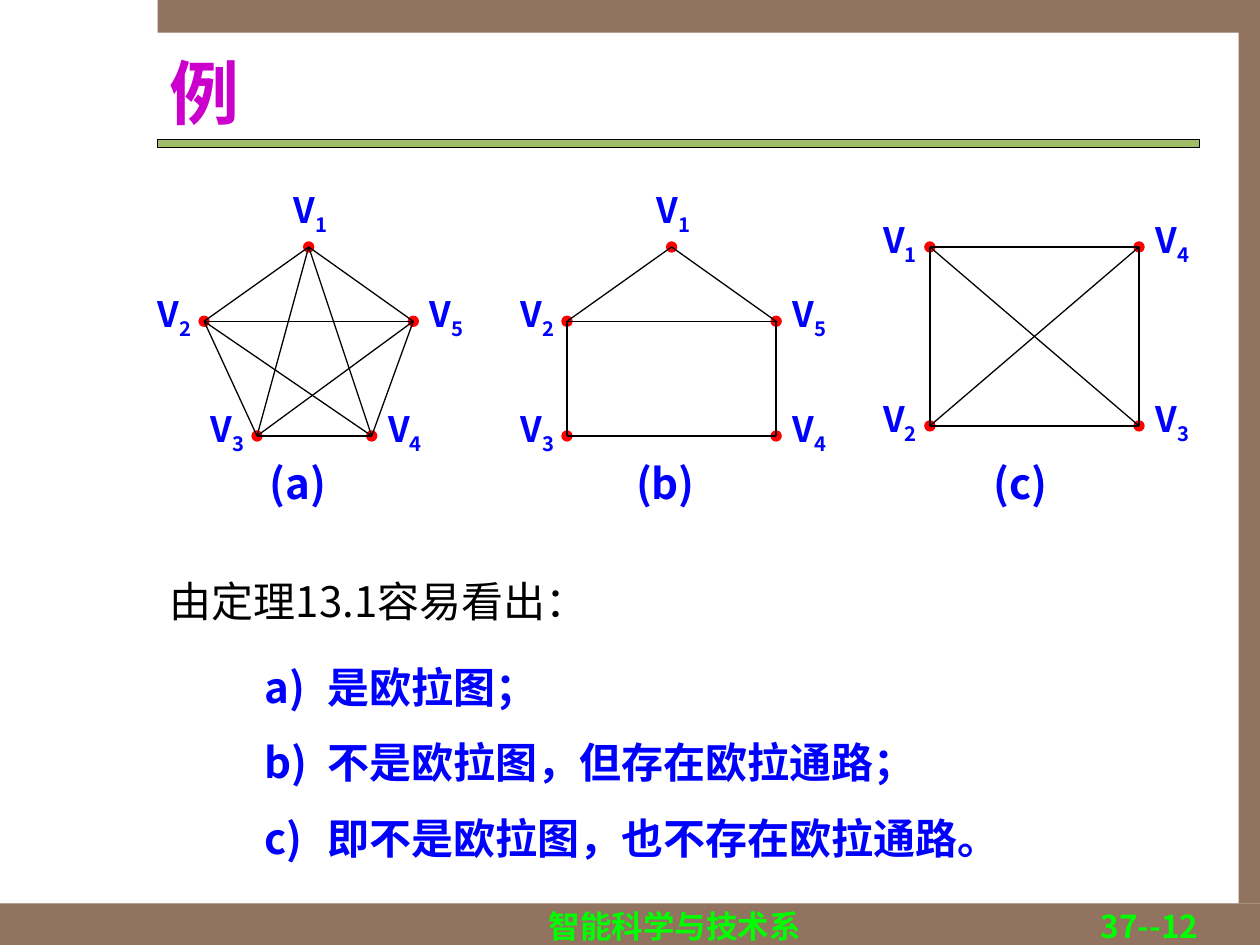
from dataclasses import dataclass
from itertools import combinations

from lxml.etree import SubElement
from pptx import Presentation
from pptx.dml.color import RGBColor
from pptx.enum.shapes import MSO_CONNECTOR, MSO_SHAPE
from pptx.enum.text import MSO_ANCHOR, PP_ALIGN
from pptx.oxml.ns import qn
from pptx.util import Inches, Pt


@dataclass(frozen=True)
class Theme:
    font: str = "Noto Sans CJK SC"
    frame: str = "91735F"
    rule: str = "A1BD69"
    title: str = "CC00CC"
    accent: str = "0000FF"
    footer: str = "00FF00"
    dot: str = "FF0000"
    ink: str = "000000"
    title_size: int = 40
    body_size: int = 24
    label_size: int = 20
    footer_size: int = 18
    line_width: float = 0.75


THEME = Theme()

TITLE = "例"
INTRO = "由定理13.1容易看出："
FINDINGS = ["是欧拉图；", "不是欧拉图，但存在欧拉通路；", "即不是欧拉图，也不存在欧拉通路。"]
DEPARTMENT = "智能科学与技术系"
PAGE = "37--12"

FRAME_BARS = [(0, 7.17, 10, 0.33), (1.25, 0, 8.75, 0.26), (9.83, 0.25, 0.17, 6.92)]
TITLE_RULE = (1.25, 1.11, 8.27, 0.06)

# Vertex number: (x from the graph's left edge, y on the slide, side of the label)
GRAPHS = [
    {
        "caption": "(a)", "caption_x": 0.42,
        "vertices": {1: (0.83, 1.96, "top"), 2: (0, 2.55, "left"), 3: (0.42, 3.46, "left"),
                     4: (1.33, 3.46, "right"), 5: (1.66, 2.55, "right")},
        "edges": list(combinations(range(1, 6), 2)),
    },
    {
        "caption": "(b)", "caption_x": 0.45,
        "vertices": {1: (0.83, 1.96, "top"), 2: (0, 2.55, "left"), 3: (0, 3.46, "left"),
                     4: (1.66, 3.46, "right"), 5: (1.66, 2.55, "right")},
        "edges": [(1, 2), (1, 5), (2, 3), (2, 5), (3, 4), (4, 5)],
    },
    {
        "caption": "(c)", "caption_x": 0.41,
        "vertices": {1: (0, 1.96, "left"), 2: (0, 3.38, "left"),
                     3: (1.66, 3.38, "right"), 4: (1.66, 1.96, "right")},
        "edges": list(combinations(range(1, 5), 2)),
    },
]
GRAPH_LEFT, GRAPH_STEP = 1.62, 2.88
CAPTION_TOP = 3.5
DOT = 0.08
LABEL_SHIFT = {"top": (-0.12, -0.54), "left": (-0.37, -0.3), "right": (0.13, -0.3)}


def rgb(color):
    return RGBColor.from_string(color)


def inches(*lengths):
    return [Inches(length) for length in lengths]


def add_filled(shapes, preset, box, fill, line=None):
    shape = shapes.add_shape(preset, *inches(*box))
    shape.shadow.inherit = False
    shape.fill.solid()
    shape.fill.fore_color.rgb = rgb(fill)
    if line:
        shape.line.color.rgb = rgb(line)
        shape.line.width = Pt(THEME.line_width)
    else:
        shape.line.fill.background()


def add_text(shapes, box, paragraphs, size, color, bold=True, spacing=1.0,
             align=PP_ALIGN.LEFT, margins=(0.1, 0.05)):
    """Add a text box; each paragraph is a list of run texts."""
    frame = shapes.add_textbox(*inches(*box)).text_frame
    frame.word_wrap = True
    frame.margin_left = frame.margin_right = Inches(margins[0])
    frame.margin_top = frame.margin_bottom = Inches(margins[1])
    for index, runs in enumerate(paragraphs):
        paragraph = frame.add_paragraph() if index else frame.paragraphs[0]
        paragraph.alignment = align
        paragraph.line_spacing = spacing
        for text in runs:
            run = paragraph.add_run()
            run.text = text
            run.font.size = Pt(size)
            run.font.bold = bold
            run.font.color.rgb = rgb(color)
            run.font.name = THEME.font
            SubElement(run.font._element, qn("a:ea"), typeface=THEME.font)
    return frame


def number_with_letters(paragraph, color):
    """Give the paragraph a hanging a), b), c) number."""
    properties = paragraph._p.get_or_add_pPr()
    properties.set("marL", str(Inches(0.5)))
    properties.set("indent", str(-Inches(0.5)))
    bullet_color = SubElement(properties, qn("a:buClr"))
    SubElement(bullet_color, qn("a:srgbClr"), val=color)
    SubElement(properties, qn("a:buFont"), typeface=THEME.font)
    SubElement(properties, qn("a:buAutoNum"), type="alphaLcParenR")


def add_edge(shapes, start, end):
    edge = shapes.add_connector(MSO_CONNECTOR.STRAIGHT, *inches(*start, *end))
    edge.line.color.rgb = rgb(THEME.ink)
    edge.line.width = Pt(THEME.line_width)
    SubElement(edge._element.spPr, qn("a:effectLst"))


def add_graph(slide, graph, left):
    shapes = slide.shapes.add_group_shape().shapes
    centers = {}
    for number, (x, y, side) in graph["vertices"].items():
        x += left
        centers[number] = (x, y)
        add_filled(shapes, MSO_SHAPE.OVAL, (x - DOT / 2, y - DOT / 2, DOT, DOT),
                   THEME.dot, THEME.dot)
        shift_x, shift_y = LABEL_SHIFT[side]
        label = add_text(shapes, (x + shift_x, y + shift_y, 0.33, 0.5), [["V", str(number)]],
                         THEME.label_size, THEME.accent, spacing=1.2, margins=(0, 0))
        subscript = label.paragraphs[0].runs[1]
        subscript.font._element.set("baseline", "-25000")
    for start, end in graph["edges"]:
        add_edge(shapes, centers[start], centers[end])
    add_text(shapes, (left + graph["caption_x"], CAPTION_TOP, 0.8, 0.58), [[graph["caption"]]],
             THEME.body_size, THEME.accent, spacing=1.2)


def main():
    presentation = Presentation()
    presentation.slide_width, presentation.slide_height = inches(10, 7.5)
    slide = presentation.slides.add_slide(presentation.slide_layouts[6])
    shapes = slide.shapes

    for bar in FRAME_BARS:
        add_filled(shapes, MSO_SHAPE.RECTANGLE, bar, THEME.frame)
    add_filled(shapes, MSO_SHAPE.RECTANGLE, TITLE_RULE, THEME.rule, THEME.ink)

    add_text(shapes, (3.19, 7.15, 4.33, 0.18), [[DEPARTMENT]],
             THEME.footer_size, THEME.footer, align=PP_ALIGN.CENTER)
    add_text(shapes, (7.53, 7.15, 2.08, 0.18), [[PAGE]],
             THEME.footer_size, THEME.footer, align=PP_ALIGN.RIGHT)

    title = add_text(shapes, (1.25, 0.33, 8.27, 0.79), [[TITLE]], THEME.title_size, THEME.title)
    title.vertical_anchor = MSO_ANCHOR.MIDDLE
    add_text(shapes, (1.25, 4.44, 8.42, 0.58), [[INTRO]], THEME.body_size, THEME.ink,
             bold=False, spacing=1.2, align=PP_ALIGN.JUSTIFY)
    findings = add_text(shapes, (2, 5, 6.17, 1.9), [[finding] for finding in FINDINGS],
                        THEME.body_size, THEME.accent, spacing=1.5)
    for paragraph in findings.paragraphs:
        number_with_letters(paragraph, THEME.accent)

    for index, graph in enumerate(GRAPHS):
        add_graph(slide, graph, GRAPH_LEFT + index * GRAPH_STEP)

    presentation.save("out.pptx")


if __name__ == "__main__":
    main()
